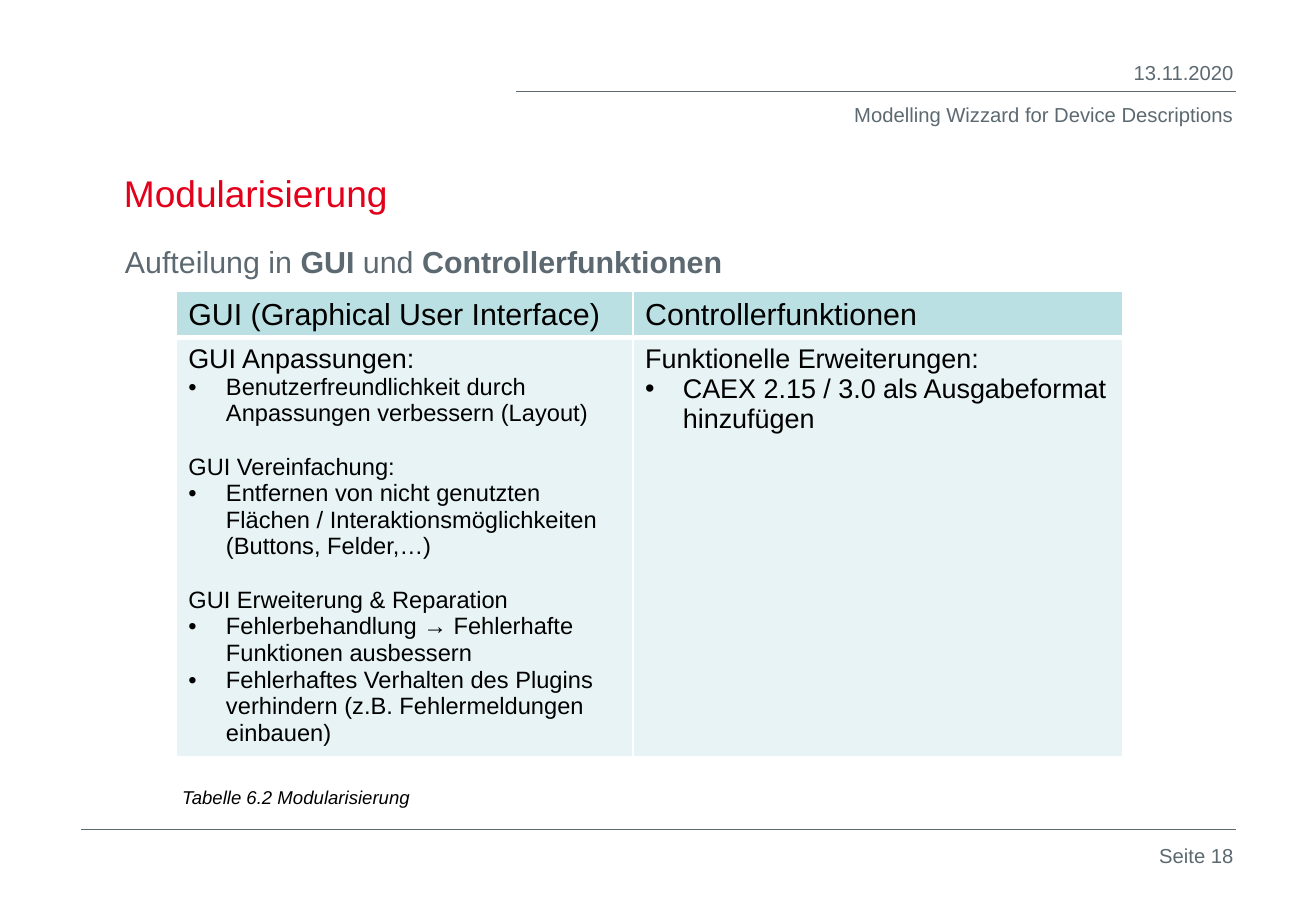
from dataclasses import dataclass
from typing import Any

from lxml import etree
from pptx import Presentation
from pptx.dml.color import RGBColor
from pptx.enum.shapes import MSO_CONNECTOR
from pptx.enum.text import MSO_ANCHOR, MSO_AUTO_SIZE, PP_ALIGN
from pptx.oxml.ns import qn
from pptx.util import Pt

STRAIGHT = MSO_CONNECTOR.STRAIGHT
LEFT, RIGHT = PP_ALIGN.LEFT, PP_ALIGN.RIGHT
TOP, BOTTOM = MSO_ANCHOR.TOP, MSO_ANCHOR.BOTTOM
NO_AUTOFIT = MSO_AUTO_SIZE.NONE
PX = 9144


@dataclass(frozen=True)
class Theme:
    font: str = "Arial"
    grey: str = "5C6971"
    red: str = "E2001A"
    black: str = "000000"
    white: str = "FFFFFF"
    header_fill: str = "BBE0E3"
    body_fill: str = "E7F3F4"
    title: int = 22
    subtitle: int = 18
    lead: int = 16
    detail: int = 14
    meta: int = 12
    caption: int = 11
    rule: float = 0.25


THEME = Theme()


@dataclass(frozen=True)
class Span:
    text: str
    size: int
    color: str = THEME.black
    bold: bool = False
    italic: bool = False


@dataclass(frozen=True)
class Line:
    spans: tuple[Span, ...]
    align: Any = LEFT
    before: int = 0
    bullet: bool = False


@dataclass(frozen=True)
class Label:
    box: tuple[int, int, int, int]
    line: Line


@dataclass(frozen=True)
class Rule:
    left: int
    right: int
    y: int


@dataclass(frozen=True)
class Row:
    height: int
    fill: str
    top: int
    bottom: int
    cells: tuple[tuple[Line, ...], ...]


def entry(text: str, size: int = THEME.detail, before: int = 0) -> Line:
    return Line((Span(text, size),), before=before)


def bullet(text: str, size: int = THEME.detail) -> Line:
    return Line((Span(text, size),), bullet=True)


def meta(text: str) -> Line:
    return Line((Span(text, THEME.meta, THEME.grey),), align=RIGHT)


TITLE = Label((92, 90, 933, 92), Line((Span("Modularisierung", THEME.title, THEME.red),)))
LABELS = (
    Label((809, 45, 216, 31), meta("13.11.2020")),
    Label((692, 79, 333, 50), meta("Modelling Wizzard for Device Descriptions")),
    Label((925, 689, 100, 50), meta("Seite 18")),
    Label((93, 195, 933, 40), Line((
        Span("Aufteilung in ", THEME.subtitle, THEME.grey),
        Span("GUI ", THEME.subtitle, THEME.grey, bold=True),
        Span("und ", THEME.subtitle, THEME.grey),
        Span("Controllerfunktionen", THEME.subtitle, THEME.grey, bold=True),
    ), before=2)),
    Label((140, 642, 268, 29),
          Line((Span("Tabelle 6.2 Modularisierung", THEME.caption, italic=True),))),
)
RULES = (Rule(425, 1017, 75), Rule(67, 1017, 683))
TABLE_LEFT, TABLE_TOP = 145, 240
COLUMNS = (376, 403)
SECTION_GAP = 16
ROWS = (
    Row(38, THEME.header_fill, 1, 3, (
        (entry("GUI (Graphical User Interface)", THEME.subtitle),),
        (entry("Controllerfunktionen", THEME.subtitle),),
    )),
    Row(345, THEME.body_fill, 3, 1, (
        (
            entry("GUI Anpassungen:", THEME.lead),
            bullet("Benutzerfreundlichkeit durch Anpassungen verbessern (Layout)"),
            entry("GUI Vereinfachung:", before=SECTION_GAP),
            bullet("Entfernen von nicht genutzten Flächen / Interaktionsmöglichkeiten "
                   "(Buttons, Felder,…)"),
            entry("GUI Erweiterung & Reparation", before=SECTION_GAP),
            bullet("Fehlerbehandlung → Fehlerhafte Funktionen ausbessern"),
            bullet("Fehlerhaftes Verhalten des Plugins verhindern "
                   "(z.B. Fehlermeldungen einbauen)"),
        ),
        (
            entry("Funktionelle Erweiterungen:", THEME.lead),
            bullet("CAEX 2.15 / 3.0 als Ausgabeformat hinzufügen", THEME.lead),
        ),
    )),
)


def apply(target: Any, values: dict[str, Any]) -> None:
    for attribute, value in values.items():
        setattr(target, attribute, value)


def write(frame: Any, lines: tuple[Line, ...]) -> None:
    for index, line in enumerate(lines):
        paragraph = frame.add_paragraph() if index else frame.paragraphs[0]
        apply(paragraph, {"alignment": line.align, "space_before": Pt(line.before)})
        if line.bullet:
            properties = paragraph._p.get_or_add_pPr()
            properties.set("marL", str(31 * PX))
            properties.set("indent", str(-31 * PX))
            etree.SubElement(properties, qn("a:buFont")).set("typeface", THEME.font)
            etree.SubElement(properties, qn("a:buChar")).set("char", "•")
        for span in line.spans:
            run = paragraph.add_run()
            run.text = span.text
            apply(run.font, {"name": THEME.font, "size": Pt(span.size),
                             "bold": span.bold, "italic": span.italic})
            run.font.color.rgb = RGBColor.from_string(span.color)


def place_label(shape: Any, label: Label, anchor: Any = TOP) -> None:
    sides = ("left", "top", "width", "height")
    apply(shape, {side: length * PX for side, length in zip(sides, label.box)})
    apply(shape.text_frame, {"word_wrap": True, "auto_size": NO_AUTOFIT,
                             "vertical_anchor": anchor})
    write(shape.text_frame, (label.line,))


def draw_rule(slide: Any, rule: Rule) -> None:
    connector = slide.shapes.add_connector(
        STRAIGHT, rule.left * PX, rule.y * PX, rule.right * PX, rule.y * PX)
    connector.line.width = Pt(THEME.rule)
    connector.line.color.rgb = RGBColor.from_string(THEME.grey)
    etree.SubElement(connector._element.spPr, qn("a:effectLst"))


def draw_borders(cell: Any, row: Row) -> None:
    widths = {"a:lnL": 1, "a:lnR": 1, "a:lnT": row.top, "a:lnB": row.bottom}
    properties = cell._tc.get_or_add_tcPr()
    for position, (tag, width) in enumerate(widths.items()):
        border = etree.Element(qn(tag), w=str(Pt(width)))
        paint = etree.SubElement(border, qn("a:solidFill"))
        etree.SubElement(paint, qn("a:srgbClr")).set("val", THEME.white)
        properties.insert(position, border)


def draw_table(slide: Any) -> None:
    table = slide.shapes.add_table(
        len(ROWS), len(COLUMNS), TABLE_LEFT * PX, TABLE_TOP * PX,
        sum(COLUMNS) * PX, sum(row.height for row in ROWS) * PX).table
    apply(table, {"first_row": False, "horz_banding": False})
    for column, width in zip(table.columns, COLUMNS):
        column.width = width * PX
    for table_row, row in zip(table.rows, ROWS):
        table_row.height = row.height * PX
        for cell, lines in zip(table_row.cells, row.cells):
            cell.fill.solid()
            cell.fill.fore_color.rgb = RGBColor.from_string(row.fill)
            draw_borders(cell, row)
            write(cell.text_frame, lines)


def main() -> None:
    presentation = Presentation()
    apply(presentation, {"slide_width": 1083 * PX, "slide_height": 750 * PX})
    slide = presentation.slides.add_slide(presentation.slide_layouts[5])
    for rule in RULES:
        draw_rule(slide, rule)
    place_label(slide.shapes.title, TITLE, BOTTOM)
    for label in LABELS:
        place_label(slide.shapes.add_textbox(0, 0, 0, 0), label)
    draw_table(slide)
    presentation.save("out.pptx")


if __name__ == "__main__":
    main()
